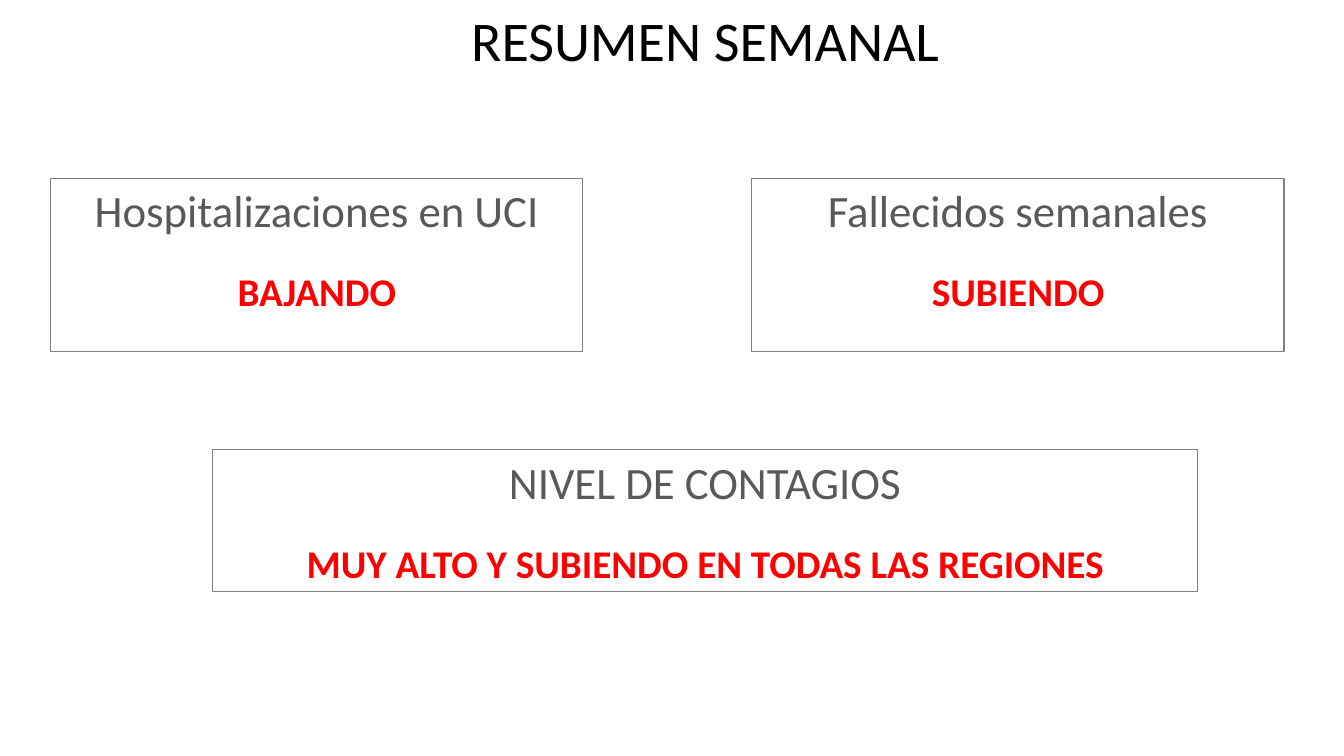
from pptx import Presentation
from pptx.dml.color import RGBColor
from pptx.enum.shapes import MSO_SHAPE
from pptx.enum.text import MSO_ANCHOR, MSO_AUTO_SIZE, PP_ALIGN
from pptx.util import Cm, Pt

RECTANGLE = MSO_SHAPE.RECTANGLE
TOP = MSO_ANCHOR.TOP
FIXED_SIZE = MSO_AUTO_SIZE.NONE
CENTER = PP_ALIGN.CENTER
TITLE_ONLY = 5


def rgb(value):
    return RGBColor.from_string(value)


def write(paragraph, text, size, color, bold=False, before=0):
    paragraph.text = text
    paragraph.alignment = CENTER
    if before:
        paragraph.space_before = Pt(before)
    font = paragraph.font
    font.name = "Calibri"
    font.size = Pt(size)
    font.bold = bold
    font.color.rgb = rgb(color)


prs = Presentation()
prs.slide_width = Cm(33.87)
prs.slide_height = Cm(19.05)
slide = prs.slides.add_slide(prs.slide_layouts[TITLE_ONLY])

heading = slide.shapes.title
heading.left, heading.top = Cm(11.56), Cm(0)
heading.width, heading.height = Cm(12.42), Cm(1.96)
heading.text_frame.word_wrap = False
heading.text_frame.auto_size = FIXED_SIZE
write(heading.text_frame.paragraphs[0], "RESUMEN SEMANAL", size=40, color="000000")

indicators = [
    ("Hospitalizaciones en UCI", "BAJANDO", 1.28, 4.49, 13.41, 4.36),
    ("Fallecidos semanales", "SUBIENDO", 18.95, 4.49, 13.41, 4.36),
    ("NIVEL DE CONTAGIOS", "MUY ALTO Y SUBIENDO EN TODAS LAS REGIONES",
     5.36, 11.33, 24.82, 3.58),
]

for indicator, trend, left, top, width, height in indicators:
    card = slide.shapes.add_shape(
        RECTANGLE, Cm(left), Cm(top), Cm(width), Cm(height))
    card.shadow.inherit = False
    card.fill.background()
    card.line.color.rgb = rgb("808080")
    card.line.width = Pt(0.75)
    frame = card.text_frame
    frame.word_wrap = True
    frame.vertical_anchor = TOP
    write(frame.paragraphs[0], indicator, size=32, color="595959")
    write(frame.add_paragraph(), trend, size=28, color="FF0000", bold=True, before=22)

prs.save("out.pptx")
